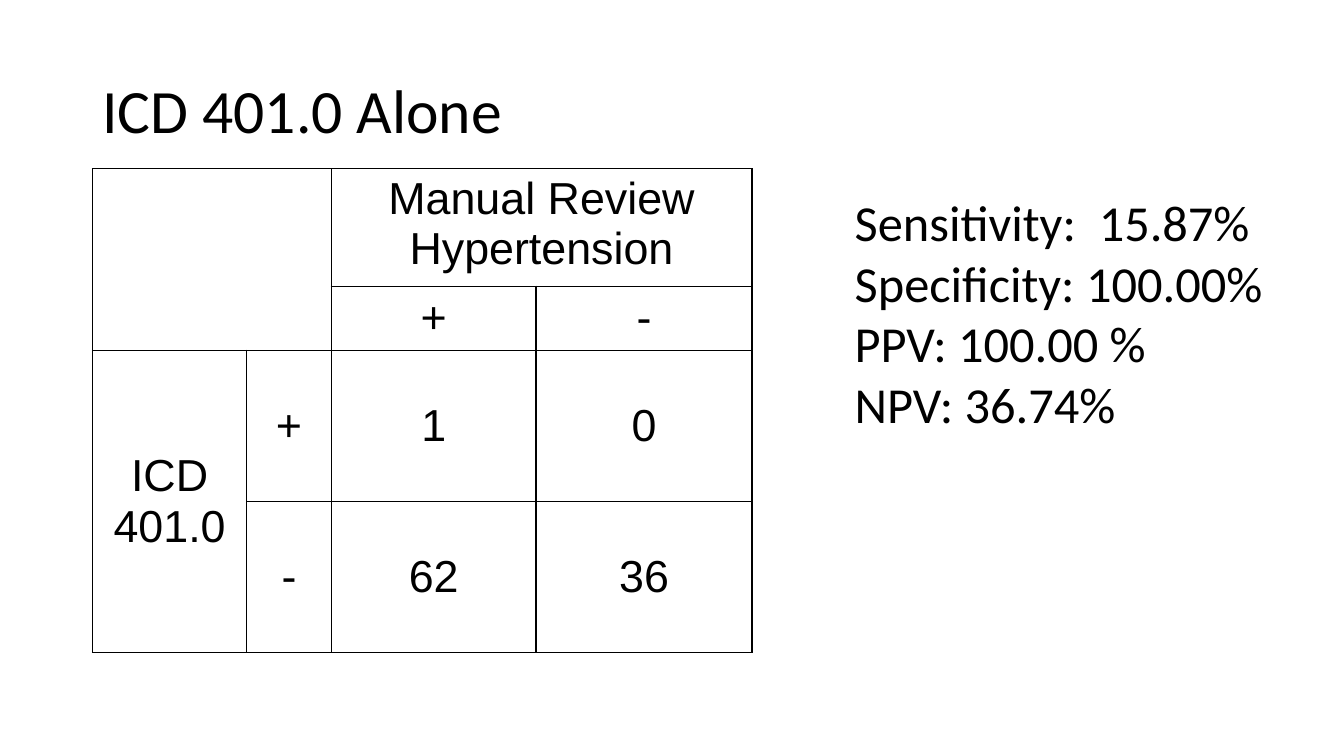
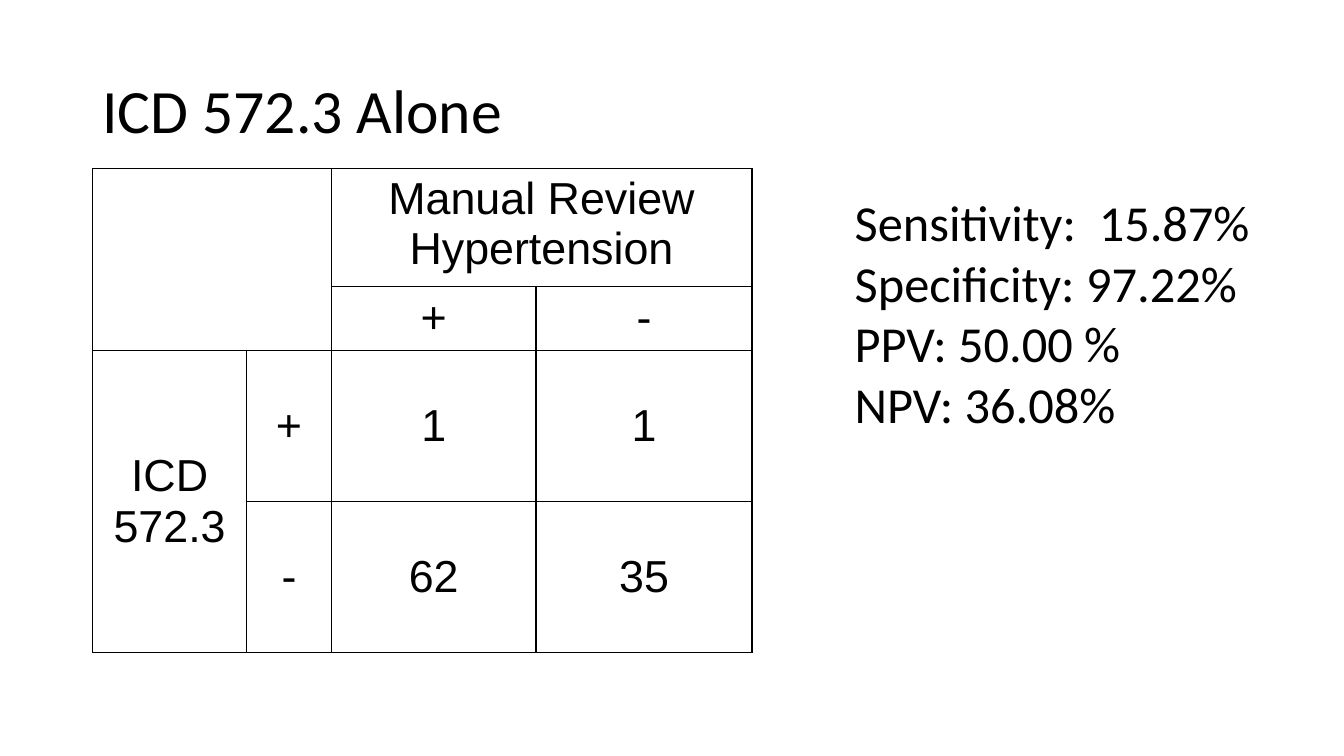
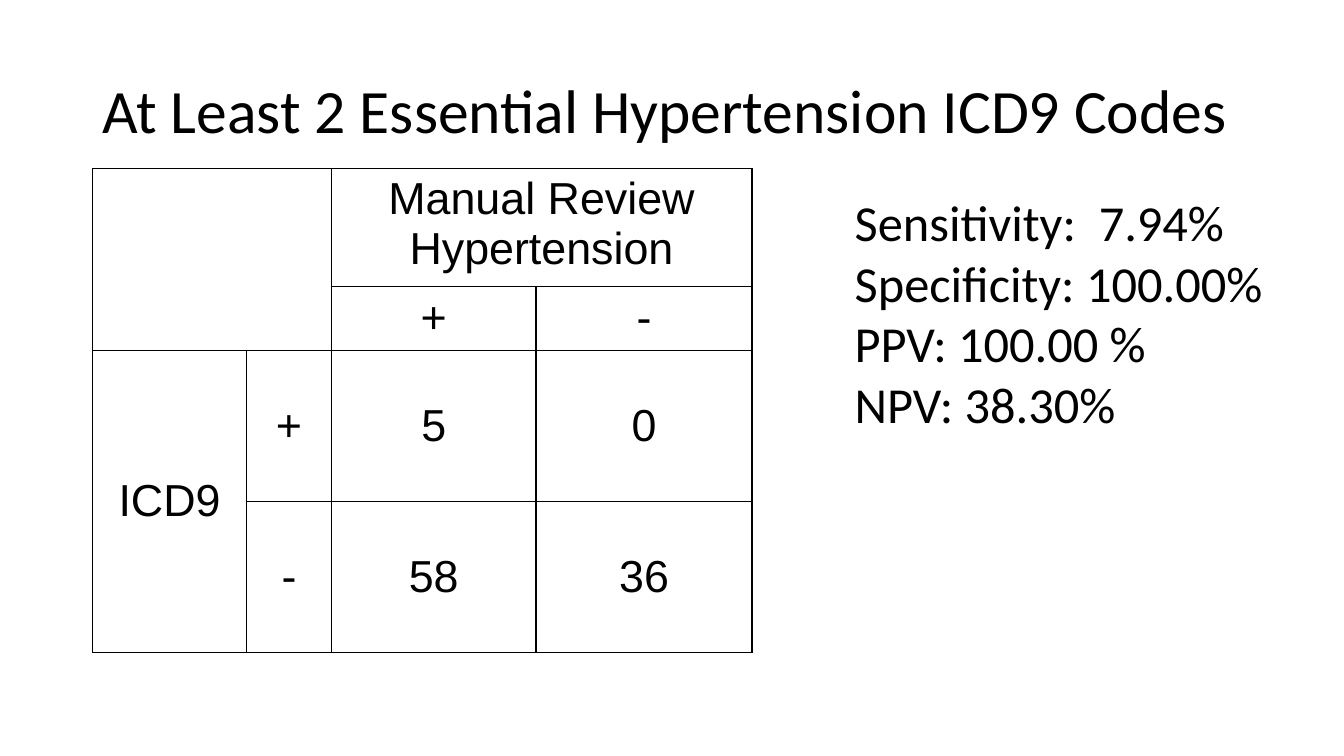
from lxml.etree import SubElement
from pptx import Presentation
from pptx.dml.color import RGBColor
from pptx.enum.text import MSO_ANCHOR as ANCHOR, PP_ALIGN as ALIGN
from pptx.oxml.ns import qn
from pptx.util import Cm, Pt

# Shared style
COLORS = {"text": "000000", "border": "000000"}
TITLE_FONT = BODY_FONT = "Calibri"
TABLE_FONT = "Arial"
COLUMN_WIDTHS = [3.89, 2.13, 5.16, 5.44]
ROW_HEIGHTS = [1.04, 1.04, 3.81, 3.81]
MERGES = [((0, 0), (1, 1)), ((0, 2), (0, 3)), ((2, 0), (3, 0))]

# Title, row label, counts by row, measures
RESULTS = [
    ("ICD 401.0 Alone", "ICD 401.0", [("1", "0"), ("62", "36")],
     ["Sensitivity:  15.87%", "Specificity: 100.00%", "PPV: 100.00 %", "NPV: 36.74%"]),
    ("ICD 572.3 Alone", "ICD 572.3", [("1", "1"), ("62", "35")],
     ["Sensitivity:  15.87%", "Specificity: 97.22%", "PPV: 50.00 %", "NPV: 36.08%"]),
    ("At Least 2 Essential Hypertension ICD9 Codes", "ICD9", [("5", "0"), ("58", "36")],
     ["Sensitivity:  7.94%", "Specificity: 100.00%", "PPV: 100.00 %", "NPV: 38.30%"]),
]


def add_run(paragraph, text, font, size):
    run = paragraph.add_run()
    run.text = text
    run.font.name = font
    run.font.size = Pt(size)
    run.font.color.rgb = RGBColor.from_string(COLORS["text"])


def add_borders(cell):
    properties = cell._tc.get_or_add_tcPr()
    for side in ("lnL", "lnR", "lnT", "lnB"):
        line = SubElement(properties, qn(f"a:{side}"), w=str(Pt(1)))
        fill = SubElement(line, qn("a:solidFill"))
        SubElement(fill, qn("a:srgbClr"), val=COLORS["border"])


presentation = Presentation()
presentation.slide_width = Cm(33.87)
presentation.slide_height = Cm(19.05)

for title, row_label, counts, measures in RESULTS:
    slide = presentation.slides.add_slide(presentation.slide_layouts[6])

    # Title
    title_box = slide.shapes.add_textbox(Cm(2.33), Cm(1.01), Cm(29.21), Cm(3.68))
    title_frame = title_box.text_frame
    title_frame.word_wrap = True
    title_frame.vertical_anchor = ANCHOR.MIDDLE
    title_frame.paragraphs[0].line_spacing = 0.9
    add_run(title_frame.paragraphs[0], title, TITLE_FONT, 44)

    # Two-by-two table
    table = slide.shapes.add_table(4, 4, Cm(2.33), Cm(4.25),
                                   Cm(sum(COLUMN_WIDTHS)), Cm(sum(ROW_HEIGHTS))).table
    table.first_row = table.horz_banding = False
    for column, width in zip(table.columns, COLUMN_WIDTHS):
        column.width = Cm(width)
    for row, height in zip(table.rows, ROW_HEIGHTS):
        row.height = Cm(height)
    for start, end in MERGES:
        table.cell(*start).merge(table.cell(*end))

    cell_texts = [
        ("", "", "Manual Review Hypertension", ""),
        ("", "", "+", "-"),
        (row_label, "+", *counts[0]),
        ("", "-", *counts[1]),
    ]
    for row_index, row_texts in enumerate(cell_texts):
        for column_index, text in enumerate(row_texts):
            cell = table.cell(row_index, column_index)
            add_borders(cell)
            cell.fill.background()
            if text:
                cell.vertical_anchor = ANCHOR.MIDDLE if row_index else ANCHOR.TOP
                paragraph = cell.text_frame.paragraphs[0]
                paragraph.alignment = ALIGN.CENTER
                add_run(paragraph, text, TABLE_FONT, 32)

    # Accuracy measures
    measures_box = slide.shapes.add_textbox(Cm(21.29), Cm(4.7), Cm(11.4), Cm(6.4))
    measures_frame = measures_box.text_frame
    measures_frame.word_wrap = True
    for index, measure in enumerate(measures):
        paragraph = measures_frame.add_paragraph() if index else measures_frame.paragraphs[0]
        add_run(paragraph, measure, BODY_FONT, 36)

presentation.save("out.pptx")
